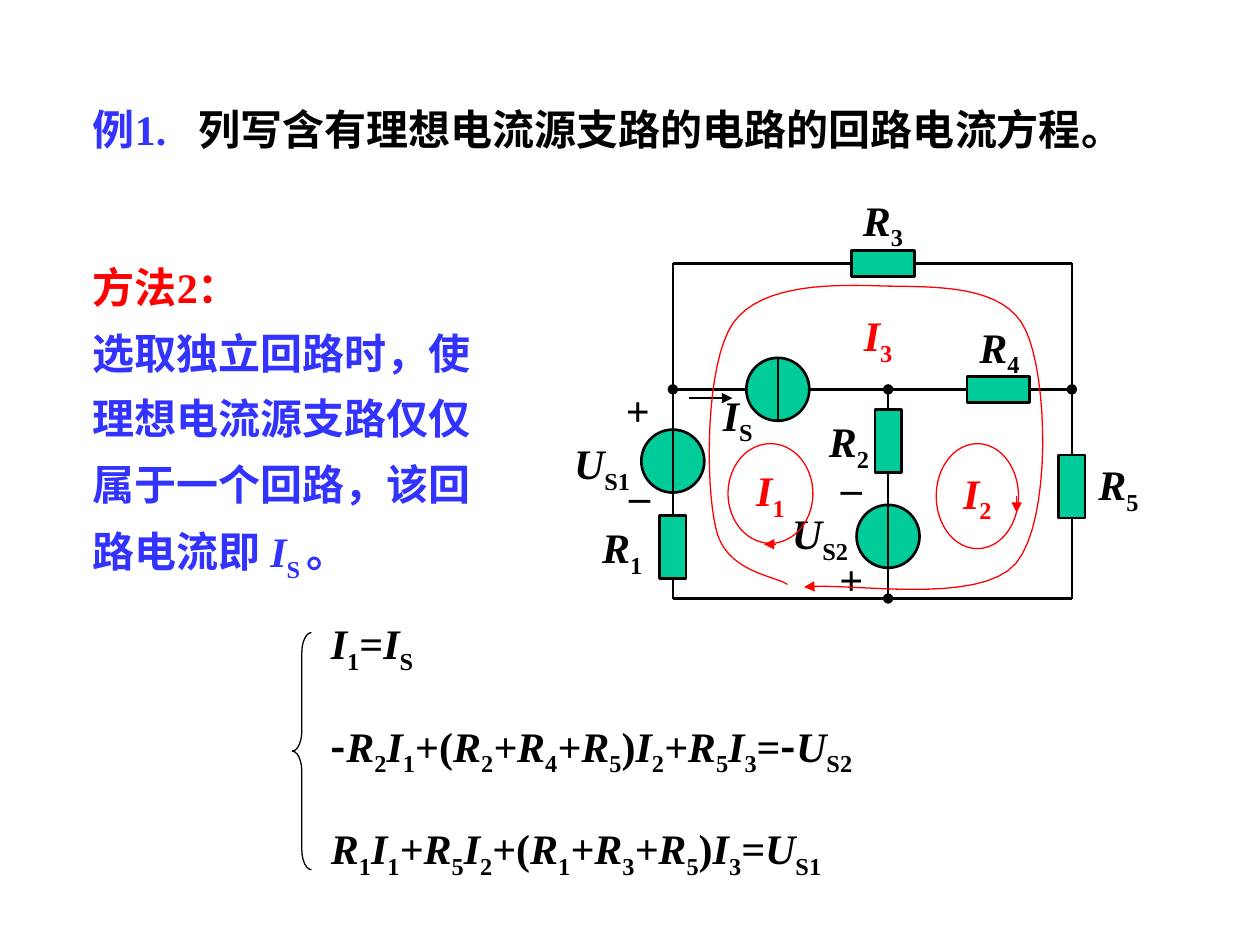
from dataclasses import dataclass

from pptx import Presentation
from pptx import util as u
from pptx.dml.color import RGBColor
from pptx.enum import shapes, text
from pptx.oxml.ns import qn
from lxml import etree

Pt = u.Pt


@dataclass(frozen=True)
class Theme:
    """Colours, fonts and sizes of the slide."""
    black: str = "000000"
    red: str = "FF0000"
    blue: str = "3333FF"
    green: str = "00CC99"
    serif: str = "Times New Roman"
    hans: str = "Noto Sans CJK SC"
    size: float = 24
    thin: float = 0.75
    thick: float = 1.5


THEME = Theme()


def write(para, pieces, color=THEME.black):
    """Add pieces split by bars; an underscore marks a subscript, variables are italic."""
    for piece in pieces.split("|"):
        lowered = len(piece) > 1 and piece[0] == "_"
        span = para.add_run()
        span.text = piece[1:] if lowered else piece
        font = span.font
        font.size, font.bold = Pt(THEME.size), True
        font.italic = not lowered and piece[-1] in "RIU"
        font.color.rgb = RGBColor.from_string(color)
        font.name = THEME.hans if piece == "-" else THEME.serif
        props = span._r.get_or_add_rPr()
        etree.SubElement(props, qn("a:ea")).set("typeface", THEME.hans)
        if lowered:
            props.set("baseline", "-25000")


def label(page, box, pieces, color=THEME.black, wrap=False, centred=False):
    """Place a text box that grows with its text and return its frame."""
    frame = page.shapes.add_textbox(*map(Pt, box)).text_frame
    frame.word_wrap = wrap
    frame.auto_size = text.MSO_AUTO_SIZE.SHAPE_TO_FIT_TEXT
    if centred:
        frame.vertical_anchor = text.MSO_ANCHOR.MIDDLE
        frame.paragraphs[0].alignment = text.PP_ALIGN.CENTER
    write(frame.paragraphs[0], pieces, color)
    return frame


def outline(shape, color=THEME.black, width=THEME.thick, fill=None):
    """Give a shape its line and fill, without shadow."""
    shape.shadow.inherit = False
    shape.line.color.rgb = RGBColor.from_string(color)
    shape.line.width = Pt(width)
    if fill:
        shape.fill.solid()
        shape.fill.fore_color.rgb = RGBColor.from_string(fill)
    else:
        shape.fill.background()
    return shape


def add_end(shape, tag, kind):
    """Put an arrowhead or dot on one end of a line."""
    etree.SubElement(shape.line._get_or_add_ln(), qn("a:" + tag)).set("type", kind)


def wire(page, start, end, color=THEME.black, width=THEME.thick, head=None, tail=None):
    """Draw a straight line with optional ends."""
    line = page.shapes.add_connector(
        shapes.MSO_CONNECTOR.STRAIGHT, *map(Pt, (*start, *end)))
    line.line.color.rgb = RGBColor.from_string(color)
    line.line.width = Pt(width)
    for tag, kind in (("headEnd", head), ("tailEnd", tail)):
        if kind:
            add_end(line, tag, kind)
    etree.SubElement(line._element.spPr, qn("a:effectLst"))


def curve_points(start, curves, steps=16):
    """Return points along a chain of cubic curves."""
    points = [start]
    for a, b, c in curves:
        origin = points[-1]
        for step in range(1, steps + 1):
            t = step / steps
            s = 1 - t
            points.append(tuple(
                s**3 * p + 3 * s * s * t * q + 3 * s * t * t * r + t**3 * v
                for p, q, r, v in zip(origin, a, b, c)))
    return points


def heading(page, x, y):
    """Place the example number and the question."""
    label(page, (x, y, 72, 36), "例1.", THEME.blue, wrap=True)
    title = page.shapes.title
    title.left, title.top, title.width, title.height = map(Pt, (x + 60.5, y, 571, 36))
    frame = title.text_frame
    frame.auto_size = text.MSO_AUTO_SIZE.NONE
    frame.vertical_anchor = text.MSO_ANCHOR.TOP
    frame.paragraphs[0].alignment = text.PP_ALIGN.LEFT
    write(frame.paragraphs[0], "列写含有理想电流源支路的电路的回路电流方程。")


def method(page, box):
    """Place the explanation of the method."""
    frame = label(page, box, "方法2：", THEME.red, wrap=True)
    para = frame.add_paragraph()
    para.line_spacing = 1.3
    write(para, "选取独立回路时，使理想电流源支路仅仅属于一个回路，"
                "该回路电流即 |I|_S |。", THEME.blue)


def equations(page, x, y):
    """Place the braced system of equations."""
    brace = outline(page.shapes.add_shape(
        shapes.MSO_SHAPE.LEFT_BRACE, *map(Pt, (x, y + 12, 11, 135.5))), width=THEME.thin)
    brace.adjustments[0] = 1.05
    system = ("I|_1|=|I|_S",
              "-|R|_2|I|_1|+(|R|_2|+R|_4|+R|_5|)|I|_2|+R|_5|I|_3|=|-|U|_S2",
              "R|_1|I|_1|+R|_5|I|_2|+|(|R|_1|+R|_3|+R|_5|)|I|_3|=U|_S1")
    for row, pieces in enumerate(system):
        label(page, (x + 15, y + 58.6 * row, 365, 40), pieces, wrap=True)


def circuit(page, x, y, width, height):
    """Draw the circuit within its outer wire frame."""
    middle, row = 123, 72

    def at(point):
        """Shift a point into the frame."""
        return x + point[0], y + point[1]

    def part(kind, centre, w, h):
        """Draw a component around its centre."""
        left, top = at(centre)
        outline(page.shapes.add_shape(
            kind, *map(Pt, (left - w / 2, top - h / 2, w, h))), fill=THEME.green)

    for centre in ((middle, 156), (0, 113), (60, row)):
        part(shapes.MSO_SHAPE.OVAL, centre, 36, 36)

    for start, end, head, tail in (
            ((60, row - 18), (60, row + 18), None, None),
            ((42, row), (0, row), None, "oval"),
            ((78, row), (width, row), None, "oval"),
            ((middle, row), (middle, height), "oval", "oval"),
            ((0, 0), (0, height), None, None),
            ((width, 0), (width, height), None, None),
            ((0, 0), (width, 0), None, None),
            ((0, height), (width, height), None, None)):
        wire(page, at(start), at(end), head=head, tail=tail)
    wire(page, at((9.5, 77)), at((34, 77)), width=THEME.thin, tail="triangle")

    for centre in ((0, 162), (middle, 101.5), (width, 127.5)):
        part(shapes.MSO_SHAPE.RECTANGLE, centre, 15, 36)
    for centre in ((120, 0), (186, row)):
        part(shapes.MSO_SHAPE.RECTANGLE, centre, 36, 15)

    for pieces, spot, color in (
            ("U|_S1", (-63.5, 96), THEME.black), ("U|_S2", (61, 136), THEME.black),
            ("R|_1", (-47.5, 144), THEME.black), ("R|_2", (82, 83.5), THEME.black),
            ("R|_3", (101.5, -43), THEME.black), ("R|_4", (168, 29.5), THEME.black),
            ("R|_5", (236, 108), THEME.black), ("I|_S", (21.5, 68.5), THEME.black),
            ("I|_3", (102, 23), THEME.red)):
        label_width = {"U": 47, "R": 38, "I": 32}[pieces[0]]
        label(page, (*at(spot), label_width, 40), pieces, color)
    for sign, spot in (("+", (-34, 65.5)), ("_", (-33, 106.5)),
                       ("_", (88, 101.5)), ("+", (88, 162))):
        label(page, (*at(spot), 28, 36), sign, centred=True)

    loops(page, at)


def loops(page, at):
    """Draw the three loop currents with their directions."""
    for pieces, spot, size, start, end in (
            ("I|_1", (31.5, 103), (48.5, 57), (59, 160.5), (52, 160.5)),
            ("I|_2", (150.5, 103), (47, 60), (196.5, 133), (196.5, 142.5))):
        oval = outline(page.shapes.add_shape(
            shapes.MSO_SHAPE.OVAL, *map(Pt, (*at(spot), *size))), THEME.red, THEME.thin)
        oval.text_frame.word_wrap = False
        oval.text_frame.paragraphs[0].alignment = text.PP_ALIGN.CENTER
        write(oval.text_frame.paragraphs[0], pieces, THEME.red)
        wire(page, at(start), at(end), THEME.red, THEME.thin, tail="triangle")

    points = curve_points((65.5, 183.5), (
        ((58.5, 178.5), (29.5, 176.5), (24.5, 151)),
        ((18.5, 126), (18.5, 57), (34.5, 34)),
        ((51, 11), (93.5, 12), (121.5, 13)),
        ((150, 13.5), (189.5, 12), (201.5, 38)),
        ((214.5, 65), (216.5, 147), (196, 171.5)),
        ((175, 196), (100, 182), (75, 185))))
    first, *rest = [tuple(map(Pt, at(point))) for point in points]
    builder = page.shapes.build_freeform(*first)
    builder.add_line_segments(rest, close=False)
    add_end(outline(builder.convert_to_shape(), THEME.red, THEME.thin),
            "tailEnd", "triangle")


def main():
    """Build and save the slide."""
    deck = Presentation()
    deck.slide_width, deck.slide_height = Pt(720), Pt(540)
    page = deck.slides.add_slide(deck.slide_layouts[5])
    heading(page, 46, 55.5)
    method(page, (46, 146, 238.5, 191))
    equations(page, 167, 349.5)
    circuit(page, 384.5, 150.5, 228, 191.5)
    deck.save("out.pptx")


if __name__ == "__main__":
    main()
